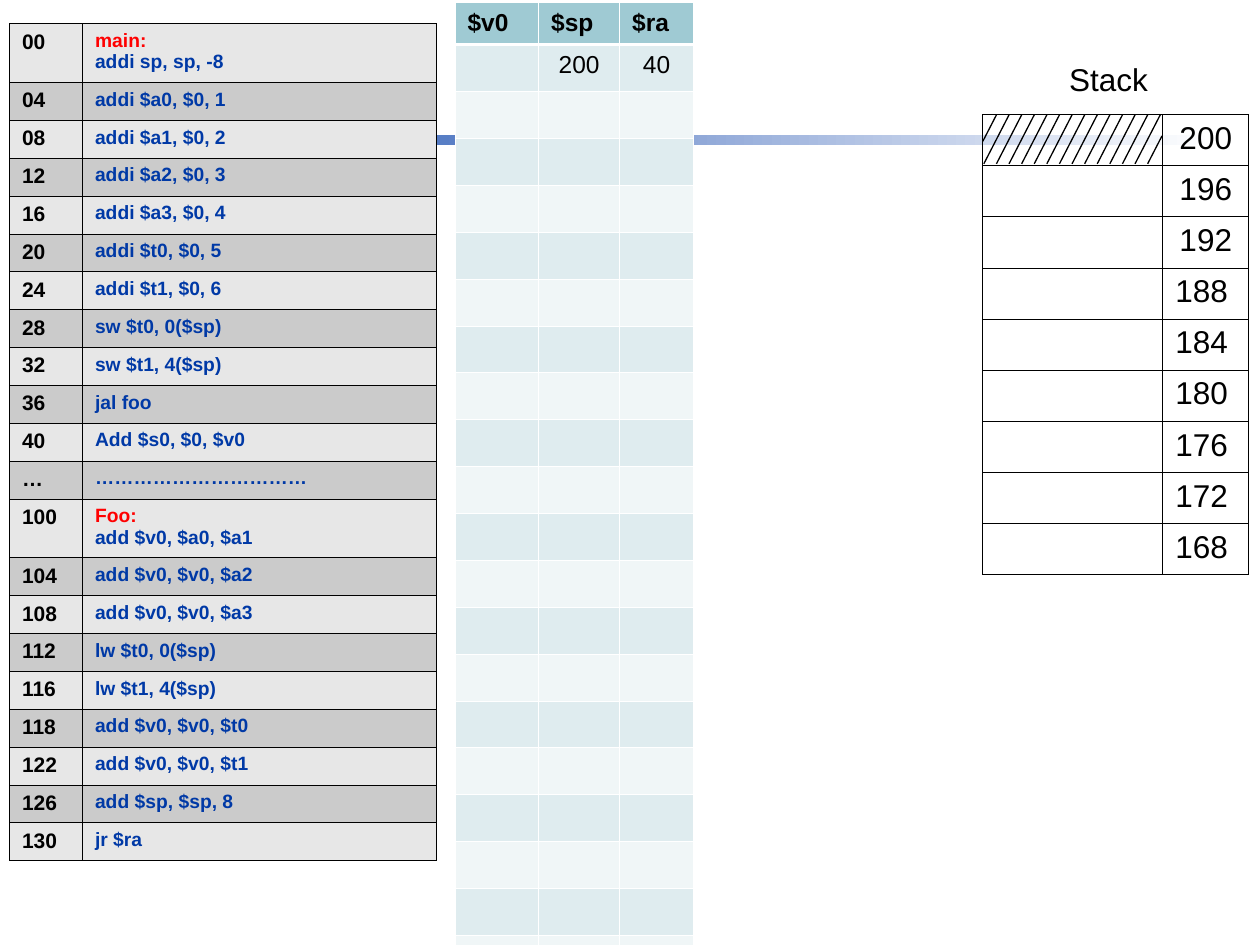
from lxml import etree
from pptx import Presentation
from pptx.dml.color import RGBColor
from pptx.enum.shapes import MSO_CONNECTOR, MSO_SHAPE
from pptx.enum.text import PP_ALIGN
from pptx.oxml.ns import qn
from pptx.util import Pt

STRAIGHT = MSO_CONNECTOR.STRAIGHT
RECTANGLE = MSO_SHAPE.RECTANGLE
LEFT, CENTER = PP_ALIGN.LEFT, PP_ALIGN.CENTER

COLORS = {
    "black": "000000", "white": "FFFFFF", "blue": "0039A6", "red": "FF0000",
    "gray light": "E7E7E7", "gray dark": "CBCBCB",
    "teal header": "9FCAD3", "teal dark": "DFECEF", "teal light": "F0F6F7",
}
PROGRAM = [
    ("00", "main:\naddi sp, sp, -8"), ("04", "addi $a0, $0, 1"),
    ("08", "addi $a1, $0, 2"), ("12", "addi $a2, $0, 3"),
    ("16", "addi $a3, $0, 4"), ("20", "addi $t0, $0, 5"),
    ("24", "addi $t1, $0, 6"), ("28", "sw $t0, 0($sp)"),
    ("32", "sw $t1, 4($sp)"), ("36", "jal foo"),
    ("40", "Add $s0, $0, $v0"), ("…", "……………………………"),
    ("100", "Foo:\nadd $v0, $a0, $a1"), ("104", "add $v0, $v0, $a2"),
    ("108", "add $v0, $v0, $a3"), ("112", "lw $t0, 0($sp)"),
    ("116", "lw $t1, 4($sp)"), ("118", "add $v0, $v0, $t0"),
    ("122", "add $v0, $v0, $t1"), ("126", "add $sp, $sp, 8"),
    ("130", "jr $ra"),
]
REGISTERS = ["$v0", "$sp", "$ra"]
REGISTER_VALUES = ["", "200", "40"]
REGISTER_ROWS = 22
STACK_ADDRESSES = range(200, 167, -4)
STACK_TOP, STACK_ROW = 65.5, 29.2
STACK_LEFT, STACK_WIDTH = 561.6, 102.4


def rgb(name):
    return RGBColor.from_string(COLORS[name])


class SlideBuilder:
    """Holds the style and the slide being filled."""

    font = "Arial"
    empty_size = 17.5

    def __init__(self, slide):
        self.slide = slide

    def set_text(self, frame, text, size, color="black", bold=False, align=LEFT):
        frame.text = text
        for para in frame.paragraphs:
            para.alignment = align
            for span in para.runs:
                span.font.name = self.font
                span.font.size = Pt(size)
                span.font.bold = bold
                span.font.color.rgb = rgb(color)

    def gradient_bar(self, left, top, width, height, start, end):
        bar = self.slide.shapes.add_shape(
            RECTANGLE, Pt(left), Pt(top), Pt(width), Pt(height))
        bar.shadow.inherit = False
        bar.line.fill.background()
        bar.fill.gradient()
        bar.fill.gradient_angle = 0
        for stop, color in zip(bar.fill.gradient_stops, (start, end)):
            stop.color.rgb = rgb(color)

    def table(self, left, top, widths, heights, border):
        """Add an empty, unfilled table with thin borders."""
        table = self.slide.shapes.add_table(
            len(heights), len(widths), Pt(left), Pt(top),
            Pt(sum(widths)), Pt(sum(heights))).table
        table.first_row = table.horz_banding = False
        for column, width in zip(table.columns, widths):
            column.width = Pt(width)
        for row, height in zip(table.rows, heights):
            row.height = Pt(height)
        for cell in table.iter_cells():
            for side in ("L", "R", "T", "B"):
                self.border(cell, side, border, 0.45)
            cell.fill.background()
            self.size_empty(cell)
        return table

    def size_empty(self, cell):
        """Set the font that gives an empty cell its line height."""
        para = cell.text_frame.paragraphs[0]
        end = etree.SubElement(para._p, qn("a:endParaRPr"),
                               sz=str(int(self.empty_size * 100)))
        etree.SubElement(end, qn("a:latin"), typeface=self.font)

    def border(self, cell, side, color, width):
        properties = cell._tc.get_or_add_tcPr()
        line = properties.find(qn(f"a:ln{side}"))
        if line is None:
            line = etree.SubElement(properties, qn(f"a:ln{side}"))
            fill = etree.SubElement(line, qn("a:solidFill"))
            etree.SubElement(fill, qn("a:srgbClr"), val=COLORS[color])
        line.set("w", str(Pt(width)))

    def fill_cell(self, cell, color):
        cell.fill.solid()
        cell.fill.fore_color.rgb = rgb(color)

    def hatch(self, left, top, width, height, step, run, count):
        """Draw slanted lines, cut at the left and right edges, as a group."""
        group = self.slide.shapes.add_group_shape()
        right = left + width
        for index in range(count):
            upper_x = left + 7.9 + index * step
            start_x = min(upper_x, right)
            end_x = max(upper_x - run, left)
            start_y, end_y = (top + height * (upper_x - x) / run
                              for x in (start_x, end_x))
            line = group.shapes.add_connector(
                STRAIGHT, Pt(start_x), Pt(start_y), Pt(end_x), Pt(end_y))
            line.line.width = Pt(0.75)
            line.line.color.rgb = rgb("black")
            etree.SubElement(line._element.spPr, qn("a:effectLst"))

    def label(self, left, top, width, height, text, size):
        box = self.slide.shapes.add_textbox(
            Pt(left), Pt(top), Pt(width), Pt(height))
        box.text_frame.word_wrap = True
        self.set_text(box.text_frame, text, size)


def add_program(builder):
    heights = [33.7 if "\n" in code else 21.65 for _, code in PROGRAM]
    table = builder.table(5.4, 13.5, [41.7, 202.3], heights, "black")
    for index, (address, code) in enumerate(PROGRAM):
        address_cell, code_cell = table.rows[index].cells
        builder.set_text(address_cell.text_frame, address, 12, bold=True)
        builder.set_text(code_cell.text_frame, code, 11, "blue", bold=True)
        if "\n" in code:
            label = code_cell.text_frame.paragraphs[0].runs[0]
            label.font.color.rgb = rgb("red")
        for cell in (address_cell, code_cell):
            builder.fill_cell(cell, "gray dark" if index % 2 else "gray light")


def add_registers(builder):
    table = builder.table(260, 1.5, [47.8, 46.3, 42.3],
                          [24] * REGISTER_ROWS, "white")
    for index, row in enumerate(table.rows):
        shade = "teal dark" if index % 2 else "teal light"
        for cell in row.cells:
            builder.fill_cell(cell, shade if index else "teal header")
    for column, (name, value) in enumerate(zip(REGISTERS, REGISTER_VALUES)):
        header, first = table.cell(0, column), table.cell(1, column)
        builder.set_text(header.text_frame, name, 14, bold=True)
        builder.border(header, "B", "white", 1.47)
        builder.border(first, "T", "white", 1.47)
        if value:
            builder.set_text(first.text_frame, value, 14, align=CENTER)


def add_stack(builder):
    heights = [STACK_ROW] * len(STACK_ADDRESSES)
    builder.table(STACK_LEFT, STACK_TOP, [STACK_WIDTH], heights, "black")
    addresses = builder.table(STACK_LEFT + STACK_WIDTH + 0.4, STACK_TOP,
                              [49.2], heights, "black")
    for index, address in enumerate(STACK_ADDRESSES):
        builder.set_text(addresses.cell(index, 0).text_frame, str(address), 18,
                         align=CENTER if index < 3 else LEFT)
    builder.hatch(STACK_LEFT, STACK_TOP, STACK_WIDTH, 28.1,
                  step=7.2, run=14.5, count=15)
    builder.label(603.8, 31, 115, 29, "Stack", 18)


def main():
    deck = Presentation()
    deck.slide_width, deck.slide_height = Pt(720), Pt(540)
    builder = SlideBuilder(deck.slides.add_slide(deck.slide_layouts[6]))
    builder.gradient_bar(19.4, 77, 674.6, 5.8, "blue", "white")
    add_program(builder)
    add_registers(builder)
    add_stack(builder)
    deck.save("out.pptx")


if __name__ == "__main__":
    main()
